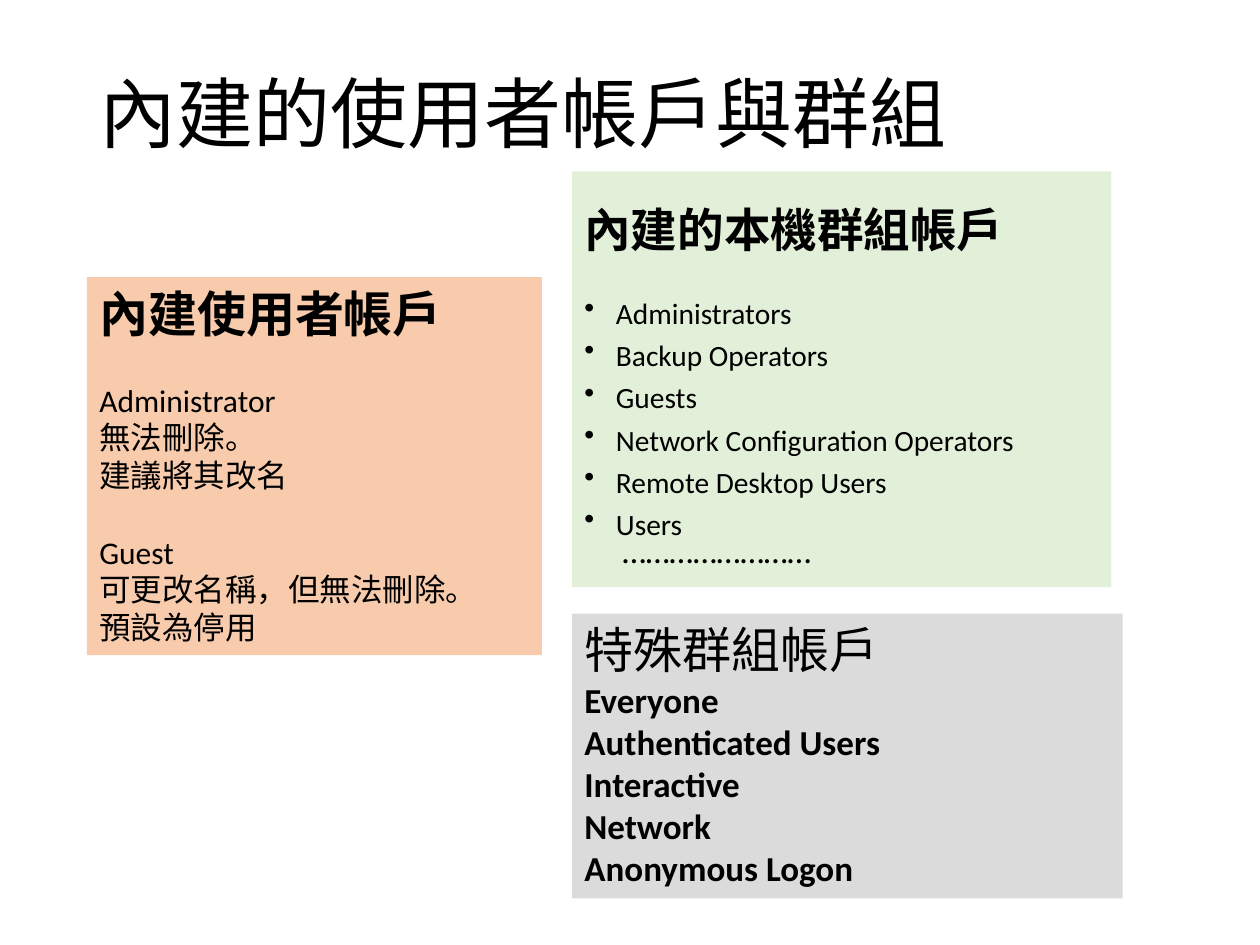
import pptx
import pptx.util
import pptx.dml.color
import pptx.enum.shapes
import pptx.enum.text
import pptx.oxml.ns
from dataclasses import dataclass
from lxml import etree


@dataclass(frozen=True)
class Theme:
    font: str = "Calibri"
    ink: str = "000000"
    peach: str = "F8CBAD"
    green: str = "E2F0D9"
    grey: str = "DBDBDB"
    title: float = 44
    heading: float = 28
    group_heading: float = 26.6
    body: float = 18
    group: float = 16.8
    dots: float = 19.6
    special: float = 20


@dataclass(frozen=True)
class Line:
    text: str
    size: float
    bold: bool = False
    before: float = 0
    spacing: float = 1.0
    left: float = 0
    bullet: bool = False


THEME = Theme()
WIDTH, HEIGHT = 10, 7.5
LEFT_COLUMN, RIGHT_COLUMN = 0.69, 4.54


def colour(value):
    return pptx.dml.color.RGBColor.from_string(value)


def add_bullet(para, indent):
    properties = para._p.get_or_add_pPr()
    properties.set("indent", str(-pptx.util.Inches(indent)))
    mark = etree.SubElement(properties, pptx.oxml.ns.qn("a:buChar"))
    mark.set("char", "•")


def write_line(para, line):
    para.text = line.text
    para.alignment = pptx.enum.text.PP_ALIGN.LEFT
    para.line_spacing = line.spacing
    para.space_before = pptx.util.Pt(line.before)
    para._p.get_or_add_pPr().set("marL", str(pptx.util.Inches(line.left)))
    if line.bullet:
        add_bullet(para, line.left)
    for span in para.runs:
        span.font.name = THEME.font
        span.font.size = pptx.util.Pt(line.size)
        span.font.bold = line.bold
        span.font.color.rgb = colour(THEME.ink)


def write_lines(box, lines, anchor):
    frame = box.text_frame
    frame.word_wrap = True
    frame.vertical_anchor = anchor
    for index, line in enumerate(lines):
        para = frame.paragraphs[0] if index == 0 else frame.add_paragraph()
        write_line(para, line)


def add_title(page, text):
    place = map(pptx.util.Inches, (LEFT_COLUMN, 0.4, WIDTH - 2 * LEFT_COLUMN, 1.07))
    box = page.shapes.add_textbox(*place)
    write_lines(box, [Line(text, THEME.title, spacing=0.9)],
                pptx.enum.text.MSO_ANCHOR.MIDDLE)


def add_panel(page, place, fill, lines, top_inset=0.05):
    box = page.shapes.add_shape(pptx.enum.shapes.MSO_SHAPE.RECTANGLE,
                                *map(pptx.util.Inches, place))
    box.shadow.inherit = False
    box.fill.solid()
    box.fill.fore_color.rgb = colour(fill)
    box.line.fill.background()
    box.text_frame.margin_top = pptx.util.Inches(top_inset)
    write_lines(box, lines, pptx.enum.text.MSO_ANCHOR.TOP)


def user_lines():
    accounts = [
        ("Administrator", "無法刪除。", "建議將其改名"),
        ("Guest", "可更改名稱，但無法刪除。", "預設為停用"),
    ]
    lines = [Line("內建使用者帳戶", THEME.heading, bold=True)]
    for name, *notes in accounts:
        lines.append(Line(name, THEME.body, before=22))
        lines += [Line(note, THEME.body) for note in notes]
    return lines


def local_group_lines():
    groups = ["Administrators", "Backup Operators", "Guests",
              "Network Configuration Operators", "Remote Desktop Users", "Users"]
    heading = Line("內建的本機群組帳戶", THEME.group_heading, bold=True, spacing=0.7)
    items = [Line(name, THEME.group, before=10 if index else 28, spacing=0.7,
                  left=0.25, bullet=True)
             for index, name in enumerate(groups)]
    dots = Line("……………………", THEME.dots, spacing=0.7, left=0.3)
    return [heading, *items, dots]


def special_group_lines():
    groups = ["Everyone", "Authenticated Users", "Interactive", "Network",
              "Anonymous Logon"]
    return [Line("特殊群組帳戶", THEME.heading),
            *(Line(name, THEME.special, bold=True) for name in groups)]


def main():
    deck = pptx.Presentation()
    deck.slide_width = pptx.util.Inches(WIDTH)
    deck.slide_height = pptx.util.Inches(HEIGHT)
    page = deck.slides.add_slide(deck.slide_layouts[6])
    add_title(page, "內建的使用者帳戶與群組")
    add_panel(page, (LEFT_COLUMN, 2.2, 3.61, 3), THEME.peach, user_lines())
    add_panel(page, (RIGHT_COLUMN, 1.36, 4.28, 3.3), THEME.green,
              local_group_lines(), top_inset=0.36)
    add_panel(page, (RIGHT_COLUMN, 4.87, 4.37, 2.26), THEME.grey,
              special_group_lines())
    deck.save("out.pptx")


if __name__ == "__main__":
    main()
